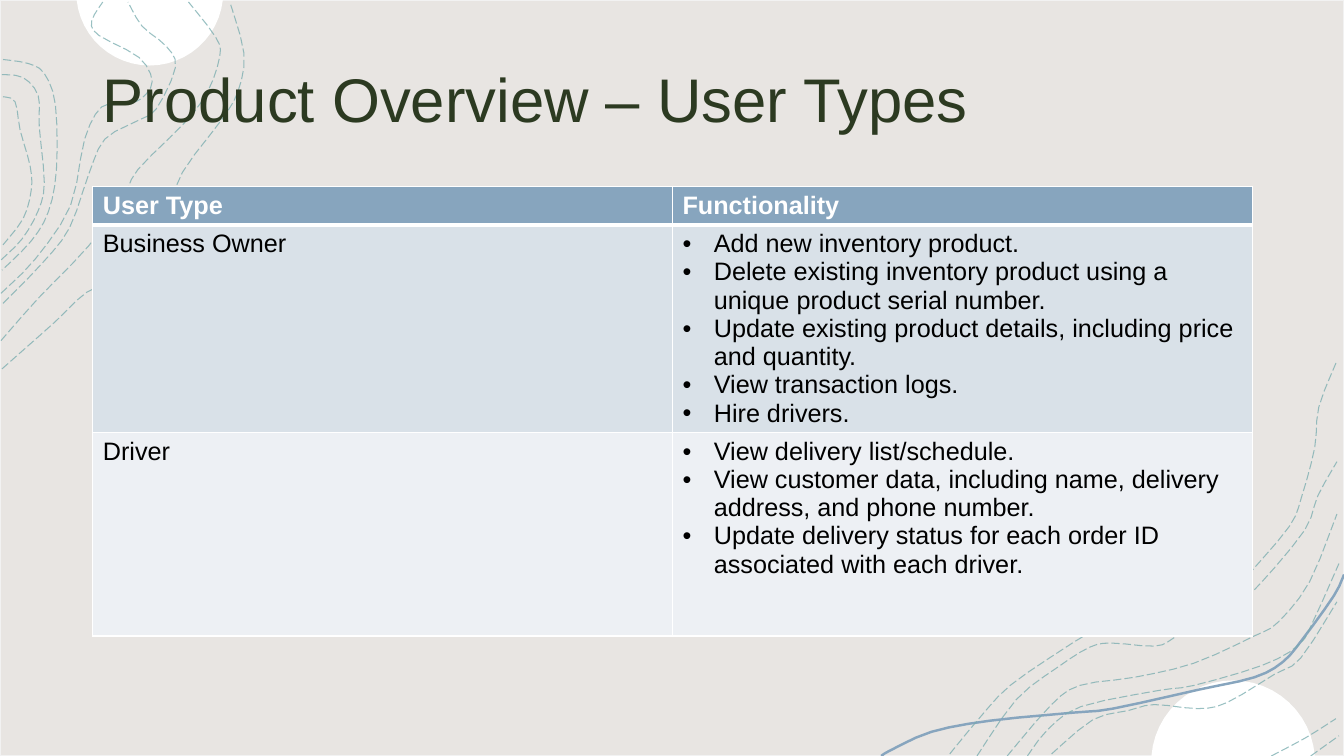
import math
from lxml import etree
from pptx import Presentation, util as u
from pptx.dml.color import RGBColor
from pptx.enum import dml, shapes, text
from pptx.oxml import ns

COLORS = {
    "paper": "E8E5E2", "edge": "F2F2F2", "white": "FFFFFF", "blue": "87A5BE",
    "contour": "77ABAE", "title": "2C3A21", "black": "000000",
    "row_dark": "D9E1E8", "row_light": "EDF0F4",
}
FONT = "Arial"

# Knots of each curve, in inches from the corner of its region
LEFT_CONTOURS = [
    [(.02, 3.66), (.55, 3.19), (.86, 2.9), (1.27, 2.69), (1.6, 2.23), (1.81, 1.71),
     (2.19, 1.2), (2.36, .91), (2.42, .53), (2.28, .02)],
    [(.01, 3.38), (.38, 2.96), (.88, 2.44), (1.22, 1.96), (1.37, 1.68), (1.83, 1.22),
     (2.06, .91), (2.18, .56), (2.14, .37), (1.87, .02)],
    [(.03, 3.01), (.42, 2.61), (.69, 2.26), (.88, 1.73), (1.04, 1.38), (1.36, 1.2),
     (1.55, 1.08), (1.74, .67), (1.65, .46), (1.41, .26), (1.27, .02)],
    [(.01, 2.91), (.35, 2.57), (.7, 2.04), (.84, 1.38), (1.01, 1.06), (1.24, 1.03),
     (1.4, .98), (1.51, .81), (1.38, .57), (.98, .35), (.91, .21), (1.02, .02)],
    [(.03, .59), (.28, .63), (.44, .73), (.55, 1.04), (.56, 1.68), (.48, 2.1),
     (.31, 2.39), (.02, 2.68)],
    [(.02, .74), (.23, .77), (.38, .95), (.39, 1.26), (.44, 1.81), (.38, 2.09),
     (.22, 2.37), (.01, 2.58)],
    [(.03, .96), (.15, 1.01), (.2, 1.29), (.3, 1.65), (.31, 1.89), (.23, 2.17),
     (.03, 2.43)],
]
RIGHT_CONTOURS = [
    [(1.42, 4.48), (1.71, 4.13), (2.02, 3.8), (2.56, 3.43), (2.78, 3.3), (2.98, 3.25),
     (3.37, 3.29), (3.73, 3.06), (4.24, 2.85), (4.4, 2.68), (4.79, 2.22), (4.91, 1.93),
     (5.04, 1.44), (5.08, 1.04), (5.26, .58)],
    [(1.69, 4.5), (2.08, 3.94), (2.49, 3.62), (2.81, 3.42), (3.03, 3.38), (3.45, 3.41),
     (3.64, 3.33), (3.95, 3.1), (4.33, 2.92), (4.5, 2.79), (4.94, 2.26), (5.07, 1.92),
     (5.26, 1.58)],
    [(5, 4.5), (5.28, 4.3)],
    [(4.61, 4.5), (4.95, 4.32), (5.25, 4.13)],
    [(2.43, 4.48), (2.84, 4.14), (3.19, 4.05), (3.45, 3.99), (3.88, 4.03), (4.17, 3.97),
     (4.64, 3.69), (4.9, 3.53), (5.26, 2.97)],
    [(2.19, 4.5), (2.39, 4.24), (2.72, 4.01), (3.49, 3.85), (3.84, 3.8), (4.52, 3.6),
     (4.88, 3.4), (5.03, 3.15), (5.28, 2.59)],
    [(1.99, 4.5), (2.42, 4), (2.71, 3.8), (3.25, 3.72), (3.84, 3.58), (4.44, 3.31),
     (4.68, 3.17), (4.99, 2.77), (5.26, 2.1)],
]
SWOOSH = [(.74, 4.5), (.84, 4.44), (1.24, 4.26), (1.82, 4.15), (2.65, 4.07), (3.04, 4.03),
          (3.9, 3.84), (4.44, 3.72), (4.72, 3.57), (4.92, 3.34), (5.23, 2.91), (5.33, 2.7)]

ROWS = [
    ("User Type", ["Functionality"]),
    ("Business Owner", [
        "Add new inventory product.",
        "Delete existing inventory product using a unique product serial number.",
        "Update existing product details, including price and quantity.",
        "View transaction logs.",
        "Hire drivers."]),
    ("Driver", [
        "View delivery list/schedule.",
        "View customer data, including name, delivery address, and phone number.",
        "Update delivery status for each order ID associated with each driver."]),
]


def color(name):
    """Return a named colour as RGB."""
    return RGBColor.from_string(COLORS[name])


def smooth(knots, steps=3):
    """Return points on a Catmull-Rom curve through the knots."""
    ends = [knots[0], *knots, knots[-1]]
    points = [knots[0]]
    for a, b, c, d in zip(ends, ends[1:], ends[2:], ends[3:]):
        for step in range(1, steps + 1):
            t = step / steps
            points.append(tuple(
                q + t * (r - p) / 2 + t * t * (p - 2.5 * q + 2 * r - s / 2)
                + t ** 3 * (3 * q - p - 3 * r + s) / 2
                for p, q, r, s in zip(a, b, c, d)))
    return points


def draw_outline(page, box, points, close=False):
    """Draw a freeform from points given relative to the box."""
    places = [(u.Inches(x), u.Inches(y)) for x, y in points]
    builder = page.shapes.build_freeform(*places[0], scale=1.0)
    builder.add_line_segments(places[1:], close=close)
    outline = builder.convert_to_shape(u.Inches(box[0]), u.Inches(box[1]))
    outline.shadow.inherit = False
    return outline


def draw_curve(page, box, knots, shade, width):
    """Draw an unfilled smooth curve and return it."""
    curve = draw_outline(page, box, smooth(knots))
    curve.fill.background()
    curve.line.color.rgb = color(shade)
    curve.line.width = u.Pt(width)
    return curve


def draw_contours(page, box, contours):
    """Draw a family of dashed, slightly transparent contour lines."""
    for knots in contours:
        curve = draw_curve(page, box, knots, "contour", .75)
        curve.line.dash_style = dml.MSO_LINE.LONG_DASH
        shade = curve.element.spPr.find(ns.qn("a:ln")).find(".//" + ns.qn("a:srgbClr"))
        etree.SubElement(shade, ns.qn("a:alpha"), val="75000")


def draw_cap(page, box, side):
    """Draw a white circle segment: side 1 hangs from the top, -1 rises from the bottom."""
    left, top, width, height = box
    radius = (width ** 2 / 4 + height ** 2) / (2 * height)
    half = math.acos((radius - height) / radius)
    chord = 0 if side > 0 else height
    angles = [half * (step / 12 - 1) for step in range(25)]
    arc = [(width / 2 + radius * math.sin(angle),
            chord + side * (radius * math.cos(angle) - radius + height)) for angle in angles]
    cap = draw_outline(page, box, arc, close=True)
    cap.fill.solid()
    cap.fill.fore_color.rgb = color("white")
    cap.line.fill.background()


def draw_backdrop(page, box):
    """Draw the paper, the white caps, the swoosh and both contour families."""
    left, top, width, height = box
    paper = page.shapes.add_shape(shapes.MSO_SHAPE.RECTANGLE, *map(u.Inches, box))
    paper.shadow.inherit = False
    paper.fill.solid()
    paper.fill.fore_color.rgb = color("paper")
    paper.line.color.rgb = color("edge")
    paper.line.width = u.Pt(1)
    draw_cap(page, (left + .76, top, 1.45, .65), 1)
    draw_cap(page, (left + 11.42, top + height - .75, 1.62, .75), -1)
    corner = (left + width - 5.33, top + height - 4.5)
    draw_curve(page, corner, SWOOSH, "blue", 1.75)
    draw_contours(page, (left, top), LEFT_CONTOURS)
    draw_contours(page, corner, RIGHT_CONTOURS)


def format_text(para, size, shade, bold=False):
    """Set the font of every run in a paragraph."""
    for span in para.runs:
        span.font.name = FONT
        span.font.size = u.Pt(size)
        span.font.bold = bold
        span.font.color.rgb = color(shade)


def place_title(page, box, words):
    """Move the title placeholder to the front and format it."""
    title = page.shapes.title
    title.element.getparent().append(title.element)
    title.left, title.top, title.width, title.height = map(u.Inches, box)
    frame = title.text_frame
    frame.text = words
    frame.word_wrap = True
    frame.auto_size = text.MSO_AUTO_SIZE.NONE
    frame.vertical_anchor = text.MSO_ANCHOR.MIDDLE
    frame.paragraphs[0].alignment = text.PP_ALIGN.LEFT
    format_text(frame.paragraphs[0], 44, "title")


def add_bullet(para):
    """Give a paragraph a hanging round bullet."""
    props = para._p.get_or_add_pPr()
    indent = u.Inches(.31)
    props.set("marL", str(indent))
    props.set("indent", str(-indent))
    etree.SubElement(props, ns.qn("a:buFont"), typeface=FONT)
    etree.SubElement(props, ns.qn("a:buChar"), char="•")


def set_borders(cell, widths):
    """Put white borders on a cell, ahead of its fill."""
    props = cell._tc.get_or_add_tcPr()
    for index, (side, width) in enumerate(widths.items()):
        line = etree.Element(ns.qn("a:ln" + side), w=str(u.Pt(width)))
        fill = etree.SubElement(line, ns.qn("a:solidFill"))
        etree.SubElement(fill, ns.qn("a:srgbClr"), val=COLORS["white"])
        props.insert(index, line)


def add_user_table(page, box):
    """Add the table of user types and what each can do."""
    table = page.shapes.add_table(len(ROWS), 2, *map(u.Inches, box)).table
    for column in table.columns:
        column.width = u.Inches(box[2] / 2)
    fills = ["blue", "row_dark", "row_light"]
    for r, (user, functions) in enumerate(ROWS):
        header = r == 0
        table.rows[r].height = u.Inches(.37 if header else 2.02)
        for c, lines in enumerate([[user], functions]):
            cell = table.cell(r, c)
            cell.fill.solid()
            cell.fill.fore_color.rgb = color(fills[r])
            set_borders(cell, {"L": 1, "R": 1, "T": 3 if r == 1 else 1, "B": 3 if header else 1})
            cell.text_frame.text = "\n".join(lines)
            for para in cell.text_frame.paragraphs:
                format_text(para, 18, "white" if header else "black", header)
                if c and not header:
                    add_bullet(para)


deck = Presentation()
deck.slide_width, deck.slide_height = u.Inches(13.33), u.Inches(7.5)
slide = deck.slides.add_slide(deck.slide_layouts[5])
draw_backdrop(slide, (0, 0, 13.33, 7.5))
place_title(slide, (.92, .4, 11.5, 1.15), "Product Overview – User Types")
add_user_table(slide, (.92, 1.85, 11.5, 4.41))
deck.save("out.pptx")
